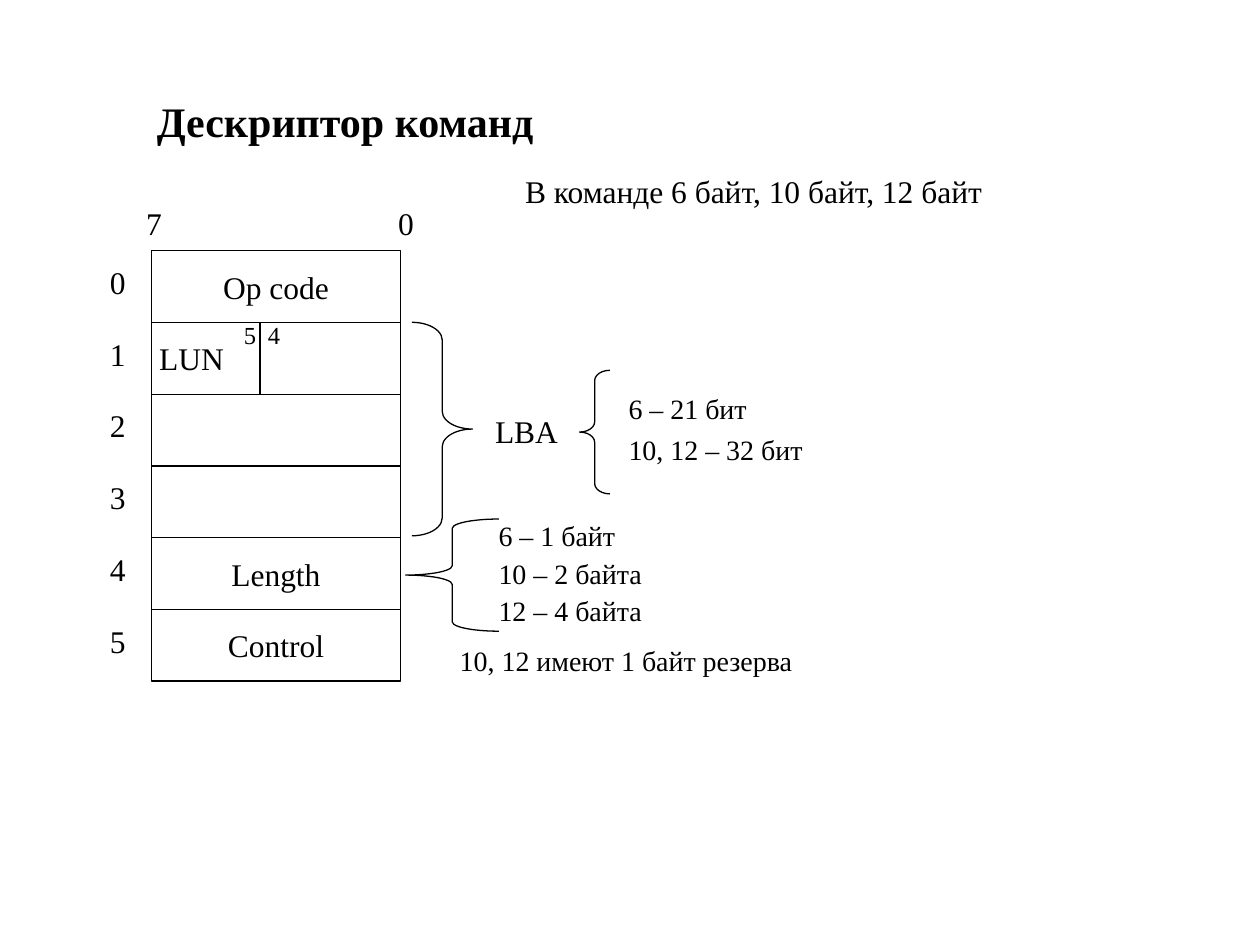
from dataclasses import dataclass

from lxml import etree
from pptx import Presentation
from pptx.dml.color import RGBColor
from pptx.enum.shapes import MSO_CONNECTOR, MSO_SHAPE
from pptx.enum.text import MSO_ANCHOR, MSO_AUTO_SIZE, PP_ALIGN
from pptx.oxml.ns import qn
from pptx.util import Pt

LEFT, CENTER = PP_ALIGN.LEFT, PP_ALIGN.CENTER
TOP, MIDDLE = MSO_ANCHOR.TOP, MSO_ANCHOR.MIDDLE
NO_AUTOFIT = MSO_AUTO_SIZE.NONE
RECT, STRAIGHT = MSO_SHAPE.RECTANGLE, MSO_CONNECTOR.STRAIGHT
LEFT_BRACE, RIGHT_BRACE = MSO_SHAPE.LEFT_BRACE, MSO_SHAPE.RIGHT_BRACE


@dataclass(frozen=True)
class Theme:
    font: str = "Times New Roman"
    ink: RGBColor = RGBColor(0, 0, 0)
    title: int = 24
    body: int = 18
    note: int = 16
    bit: int = 14
    line: float = 0.75


THEME = Theme()
PADDED = (7.2, 3.6)
FLUSH = (0, 0)


def write(sp, lines, size, align=LEFT, anchor=TOP, inset=FLUSH,
          spacing=None, bold=False):
    """Fill a shape with one paragraph per line."""
    tf = sp.text_frame
    tf.word_wrap = True
    tf.auto_size = NO_AUTOFIT
    tf.vertical_anchor = anchor
    tf.margin_left = tf.margin_right = Pt(inset[0])
    tf.margin_top = tf.margin_bottom = Pt(inset[1])
    for i, line in enumerate(lines):
        p = tf.add_paragraph() if i else tf.paragraphs[0]
        p.text = line
        p.alignment = align
        p.space_before = Pt(10 if i else 0)
        if spacing:
            p.line_spacing = spacing
        p.font.name = THEME.font
        p.font.size = Pt(size)
        p.font.bold = bold
        p.font.color.rgb = THEME.ink


def add_text(s, box, lines, size, **style):
    sp = s.shapes.add_textbox(*map(Pt, box))
    write(sp, lines, size, **style)


def add_outline(s, kind, box):
    sp = s.shapes.add_shape(kind, *map(Pt, box))
    sp.shadow.inherit = False
    sp.fill.background()
    sp.line.color.rgb = THEME.ink
    sp.line.width = Pt(THEME.line)
    return sp


def add_brace(s, kind, box):
    """Draw a brace whose curves each take a twelfth of its height."""
    width, height = box[2:]
    sp = add_outline(s, kind, box)
    sp.adjustments[0] = height / 12 / min(width, height)
    sp.adjustments[1] = 0.5


def add_divider(s, x, top, bottom):
    line = s.shapes.add_connector(STRAIGHT, Pt(x), Pt(top), Pt(x), Pt(bottom))
    line.line.color.rgb = THEME.ink
    line.line.width = Pt(THEME.line)
    etree.SubElement(line._element.spPr, qn("a:effectLst"))


def place_title(s, box, text):
    sp = s.shapes.title
    sp.left, sp.top, sp.width, sp.height = map(Pt, box)
    write(sp, [text], THEME.title, align=CENTER, inset=PADDED, bold=True)


def draw_descriptor(s, box):
    """Draw the byte rows with their byte and bit numbers."""
    x, y, width, height = box
    rows = ["Op code", "LUN", "", "", "Length", "Control"]
    pitch = height / len(rows)

    # Byte rows, numbered on the left
    for i, text in enumerate(rows):
        top = y + i * pitch
        sp = add_outline(s, RECT, (x, top, width, pitch))
        if text == "LUN":
            write(sp, [text], THEME.body, anchor=MIDDLE, inset=(4.5, 0))
        elif text:
            write(sp, [text], THEME.body, align=CENTER, anchor=MIDDLE)
        add_text(s, (x - 28.8, top + 7, 19.4, 21.6), [str(i)], THEME.body,
                 align=CENTER, anchor=MIDDLE)

    # Bit numbers above the corners
    for left, bit in ((x - 10, "7"), (x + width - 8.6, "0")):
        add_text(s, (left, y - 30.2, 25.2, 28.8), [bit], THEME.body,
                 inset=PADDED)

    # Split of byte 1 between bits 5 and 4
    split, top = x + 62.2, y + pitch
    add_divider(s, split, top, top + pitch)
    for left, bit in ((split - 15.4, "5"), (split - 1.7, "4")):
        add_text(s, (left, top - 1.5, 19.4, 16.6), [bit], THEME.bit,
                 align=CENTER, anchor=MIDDLE)


def draw_address(s, box):
    """Bracket the address bytes and give the address widths."""
    x, y, _, height = box
    add_brace(s, RIGHT_BRACE, (x, y, 34.6, height))
    add_text(s, (x + 47.5, y + 51.2, 41, 21.6), ["LBA"], THEME.body)
    add_brace(s, LEFT_BRACE, (x + 95.8, y + 27.4, 17.3, 70.6))
    add_text(s, (x + 116.7, y + 41, 136, 44),
             ["6 – 21 бит", "10, 12 – 32 бит"], THEME.note,
             inset=PADDED, spacing=0.7)


def draw_length(s, box):
    """Bracket the length sizes and add the reserve note."""
    x, y, width, height = box
    add_brace(s, LEFT_BRACE, (x, y, 53.3, height))
    add_text(s, (x + 46, y + 2.9, 109.4, 62),
             ["6 – 1 байт", "10 – 2 байта", "12 – 4 байта"], THEME.note,
             inset=PADDED, spacing=0.6)
    add_text(s, (x + 23.8, y + 67.7, width - 23.8, 26.6),
             ["10, 12 имеют 1 байт резерва"], THEME.note, inset=PADDED)


def main():
    prs = Presentation()
    prs.slide_width, prs.slide_height = Pt(720), Pt(540)
    s = prs.slides.add_slide(prs.slide_layouts[5])

    place_title(s, (64.1, 51.1, 266.4, 36), "Дескриптор команд")
    add_text(s, (293, 95, 291.6, 28.8),
             ["В команде 6 байт, 10 байт, 12 байт"], THEME.body, inset=PADDED)
    draw_descriptor(s, (86.4, 143.3, 142.6, 246))
    draw_address(s, (235.4, 184.2, 252.7, 122))
    draw_length(s, (231.8, 296.6, 315.4, 64.1))
    prs.save("out.pptx")


if __name__ == "__main__":
    main()
